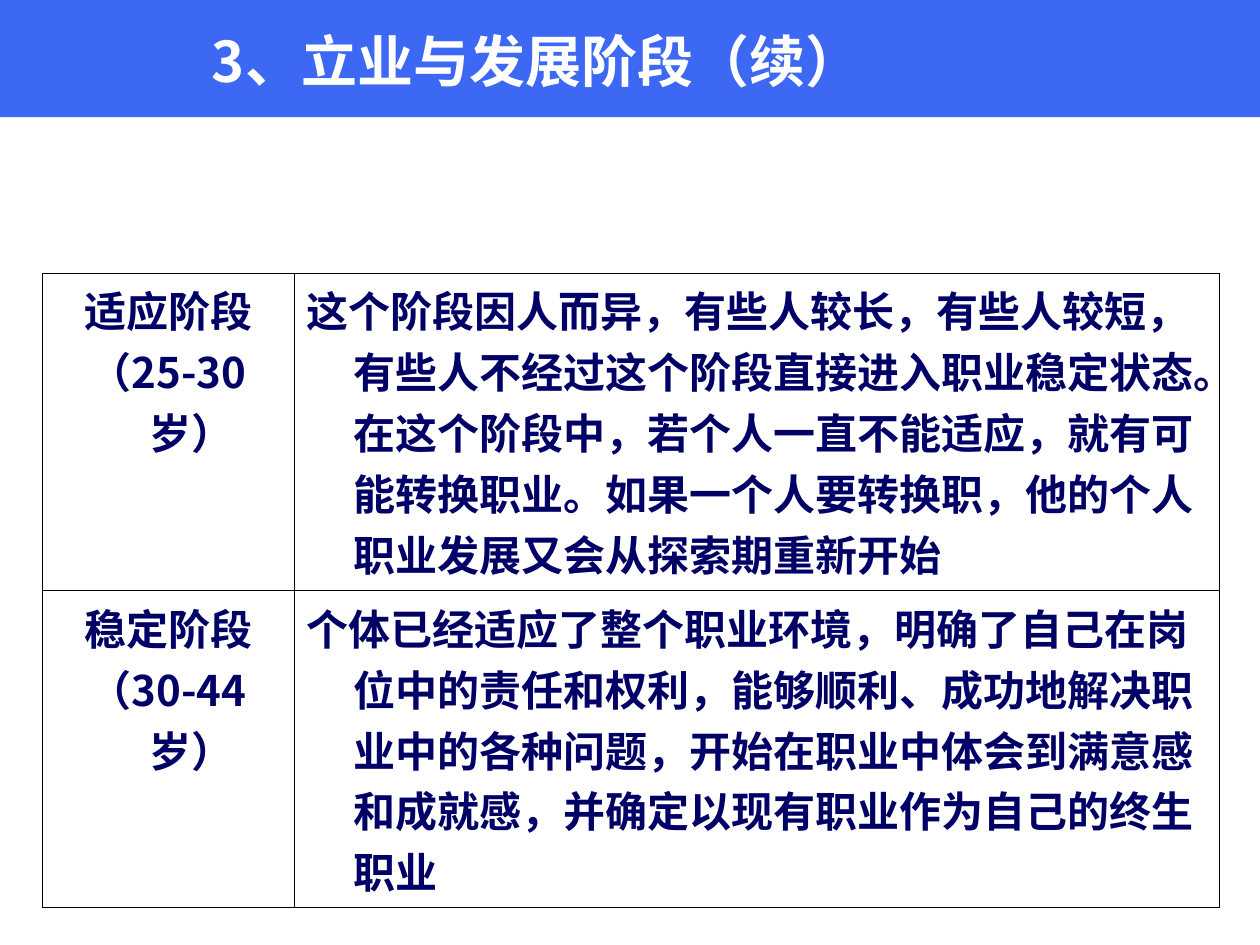
from pptx import Presentation
from pptx.dml.color import RGBColor
from pptx.enum.shapes import MSO_SHAPE as Shape
from pptx.enum.text import MSO_ANCHOR as Anchor, PP_ALIGN as Align
from pptx.oxml import parse_xml
from pptx.oxml.ns import nsdecls
from pptx.util import Pt

FACE = "Noto Sans CJK SC"
ROWS = [
    ("适应阶段\n（25-30岁）",
     "这个阶段因人而异，有些人较长，有些人较短，有些人不经过这个阶段直接进入职业稳定状态。"
     "在这个阶段中，若个人一直不能适应，就有可能转换职业。"
     "如果一个人要转换职，他的个人职业发展又会从探索期重新开始"),
    ("稳定阶段\n（30-44岁）",
     "个体已经适应了整个职业环境，明确了自己在岗位中的责任和权利，"
     "能够顺利、成功地解决职业中的各种问题，开始在职业中体会到满意感和成就感，"
     "并确定以现有职业作为自己的终生职业"),
]


def color(code):
    return RGBColor.from_string(code)


def style(para, size, code):
    """Format the runs, with the face set for Latin and East Asian text."""
    for run in para.runs:
        font = run.font
        font.size, font.bold, font.name = Pt(size), True, FACE
        font.color.rgb = color(code)
        run._r.get_or_add_rPr().find("{*}latin").addnext(
            parse_xml(f'<a:ea {nsdecls("a")} typeface="{FACE}"/>'))


deck = Presentation()
deck.slide_width, deck.slide_height = Pt(720), Pt(540)
slide = deck.slides.add_slide(deck.slide_layouts[6])
shapes = slide.shapes

# Title band
band = shapes.add_shape(Shape.RECTANGLE, 0, 0, Pt(720), Pt(67))
band.shadow.inherit = False
band.fill.solid()
band.fill.fore_color.rgb = color("3C68F4")
band.line.fill.background()

# Stage table
table = shapes.add_table(2, 2, Pt(24), Pt(156), Pt(672.5), Pt(322.5)).table
table.first_row = table.horz_banding = False
for col, width in zip(table.columns, (144, 528.5)):
    col.width = Pt(width)
for row, height in zip(table.rows, (171.5, 151)):
    row.height = Pt(height)

for r, texts in enumerate(ROWS):
    for c, text in enumerate(texts):
        cell = table.cell(r, c)
        props = cell._tc.get_or_add_tcPr()
        for side in "LRTB":
            props.append(parse_xml(
                f'<a:ln{side} {nsdecls("a")} w="{Pt(0.45)}"><a:solidFill>'
                f'<a:srgbClr val="000000"/></a:solidFill></a:ln{side}>'))
        cell.fill.background()
        cell.text_frame.text = text
        for para in cell.text_frame.paragraphs:
            para.alignment = Align.LEFT if c else Align.CENTER
            hang = para._p.get_or_add_pPr()
            hang.set("marL", str(Pt(27)))
            hang.set("indent", str(-Pt(27)))
            style(para, 24, "000066")

# Title
title = shapes.add_textbox(Pt(114), Pt(12), Pt(516), Pt(45))
frame = title.text_frame
frame.word_wrap = True
frame.vertical_anchor = Anchor.MIDDLE
frame.text = "3、立业与发展阶段（续）"
style(frame.paragraphs[0], 32, "FFFFFF")

deck.save("out.pptx")
